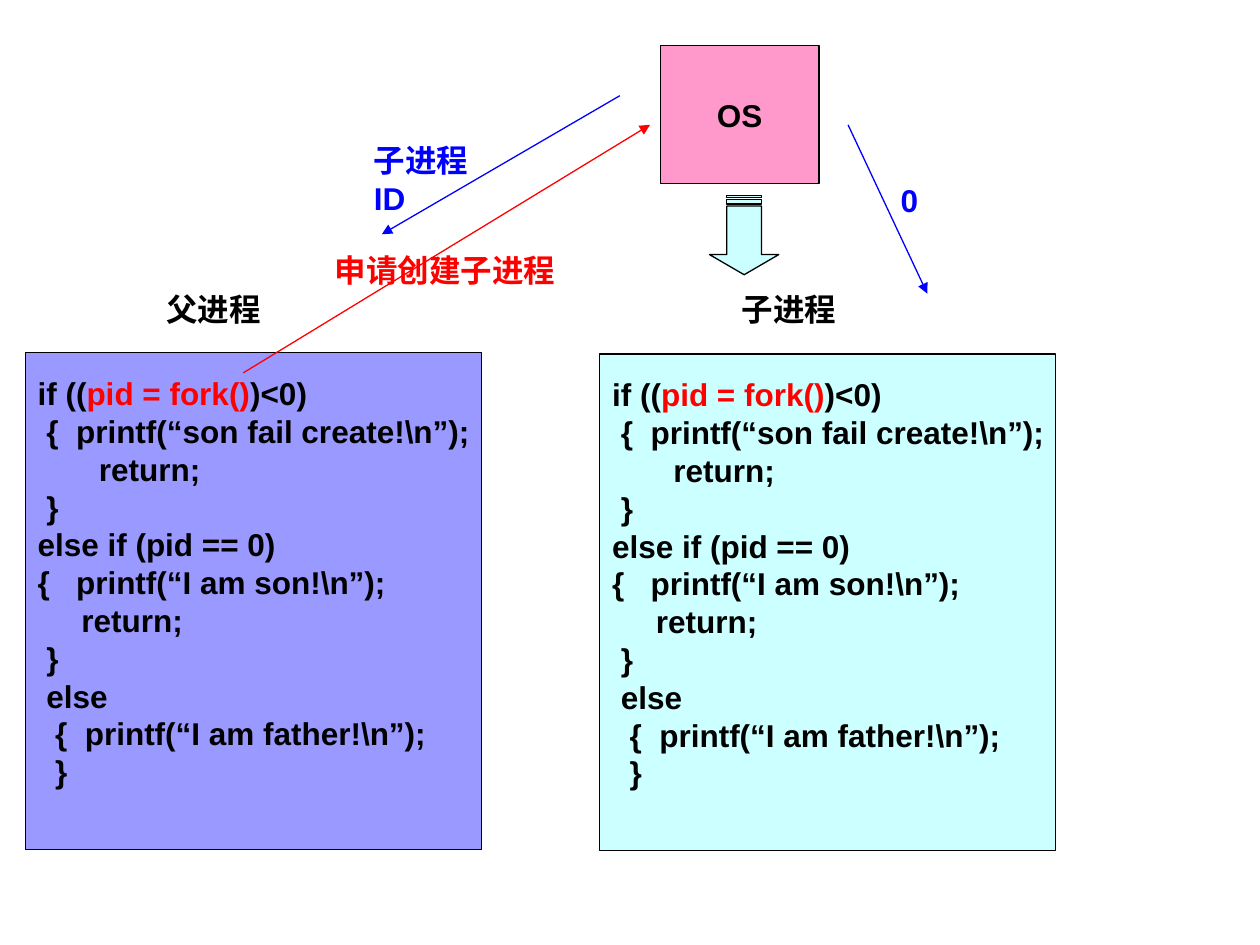
from lxml import etree
from pptx import Presentation
from pptx.dml.color import RGBColor
from pptx.enum.shapes import MSO_CONNECTOR, MSO_SHAPE
from pptx.enum.text import MSO_ANCHOR, PP_ALIGN
from pptx.oxml.ns import qn
from pptx.util import Pt

RECTANGLE, STRIPED_ARROW = MSO_SHAPE.RECTANGLE, MSO_SHAPE.STRIPED_RIGHT_ARROW
STRAIGHT = MSO_CONNECTOR.STRAIGHT
MIDDLE, TOP = MSO_ANCHOR.MIDDLE, MSO_ANCHOR.TOP
LEFT, CENTER = PP_ALIGN.LEFT, PP_ALIGN.CENTER

COLORS = {
    "black": "000000", "red": "FF0000", "blue": "0000FF",
    "violet": "9999FF", "cyan": "CCFFFF", "pink": "FF99CC",
}

# Each code line: indent in space widths, then (text, colour) runs
FORK_CODE = [
    (0, [("if ((", "black"), ("pid = fork()", "red"), (")<0)", "black")]),
    (1, [("{  printf(“son fail create!\\n”);", "black")]),
    (7, [("return;", "black")]),
    (1, [("}", "black")]),
    (0, [("else if (pid == 0)", "black")]),
    (0, [("{   printf(“I am son!\\n”);", "black")]),
    (5, [("return;", "black")]),
    (1, [("}", "black")]),
    (1, [("else", "black")]),
    (2, [("{  printf(“I am father!\\n”);", "black")]),
    (2, [("}", "black")]),
]
# Left, top, fill
PROCESSES = [(14.4, 201.6, "violet"), (342.7, 202.3, "cyan")]
PROCESS_SIZE = (260.6, 283.7)
OS_BOX = (377.3, 25.9, 90.7, 79.2)
FORK_ARROW = (402.5, 114.5, 45.4, 39.6)

# Text, colour, left, top, width, height, wrap
LABELS = [
    ("父进程", "black", 87.8, 162, 68.4, 28.8, False),
    ("子进程", "black", 416.9, 162, 68.4, 28.8, False),
    ("申请创建子进程", "red", 184.3, 139.7, 140.4, 28.8, False),
    ("子进程ID", "blue", 206.6, 77, 86, 50.4, True),
    ("0", "blue", 507.6, 100.1, 45.4, 28.8, True),
]
# Colour, start, end
CALLS = [
    ("red", (139, 213.1), (371.5, 71.3)),
    ("blue", (354.2, 54.7), (218.2, 133.9)),
    ("blue", (484.6, 71.3), (529.9, 167.8)),
]

LINE_WIDTH = Pt(0.75)
LINE_HEIGHT = 21.6
SPACE_WIDTH = 5
FONT = {"name": "Arial", "size": Pt(18), "bold": True}
INSETS = {"margin_left": Pt(7.2), "margin_right": Pt(7.2),
          "margin_top": Pt(3.6), "margin_bottom": Pt(3.6)}


def set_all(target, values):
    for attribute, value in values.items():
        setattr(target, attribute, value)


def rgb(color):
    return RGBColor.from_string(COLORS[color])


def add_outlined(slide, preset, box, fill):
    shape = slide.shapes.add_shape(preset, *map(Pt, box))
    shape.shadow.inherit = False
    shape.fill.solid()
    shape.fill.fore_color.rgb = rgb(fill)
    shape.line.color.rgb = rgb("black")
    shape.line.width = LINE_WIDTH
    return shape


def write(frame, lines, align=LEFT, **frame_format):
    set_all(frame, INSETS | frame_format)
    for number, (indent, runs) in enumerate(lines):
        paragraph = frame.add_paragraph() if number else frame.paragraphs[0]
        paragraph.alignment = align
        if len(lines) > 1:
            paragraph.line_spacing = Pt(LINE_HEIGHT)
        if indent:
            properties = paragraph._p.get_or_add_pPr()
            properties.set("marL", str(Pt(indent * SPACE_WIDTH)))
        for text, color in runs:
            run = paragraph.add_run()
            run.text = text
            set_all(run.font, FONT)
            run.font.color.rgb = rgb(color)


def add_call(slide, color, start, end):
    """Add a thin line with an arrowhead at its end."""
    call = slide.shapes.add_connector(STRAIGHT, *map(Pt, start + end))
    call.line.color.rgb = rgb(color)
    call.line.width = LINE_WIDTH
    etree.SubElement(call.line._get_or_add_ln(), qn("a:tailEnd"), type="triangle")
    etree.SubElement(call._element.spPr, qn("a:effectLst"))


def main():
    deck = Presentation()
    set_all(deck, {"slide_width": Pt(720), "slide_height": Pt(540)})
    slide = deck.slides.add_slide(deck.slide_layouts[6])

    for left, top, fill in PROCESSES:
        process = add_outlined(slide, RECTANGLE, (left, top, *PROCESS_SIZE), fill)
        # The code sits half a line above the middle of its box
        write(process.text_frame, FORK_CODE, word_wrap=True, vertical_anchor=MIDDLE,
              margin_right=0, margin_bottom=Pt(3.6 + LINE_HEIGHT))

    system = add_outlined(slide, RECTANGLE, OS_BOX, "pink")
    write(system.text_frame, [(0, [("OS", "black")])], CENTER,
          word_wrap=False, vertical_anchor=MIDDLE)

    fork_arrow = add_outlined(slide, STRIPED_ARROW, FORK_ARROW, "cyan")
    fork_arrow.rotation = 90
    fork_arrow.adjustments[0] = 0.5
    fork_arrow.adjustments[1] = 0.29

    for call in CALLS:
        add_call(slide, *call)
    for text, color, left, top, width, height, wrap in LABELS:
        label = slide.shapes.add_textbox(*map(Pt, (left, top, width, height)))
        write(label.text_frame, [(0, [(text, color)])],
              word_wrap=wrap, vertical_anchor=TOP)

    deck.save("out.pptx")


if __name__ == "__main__":
    main()
